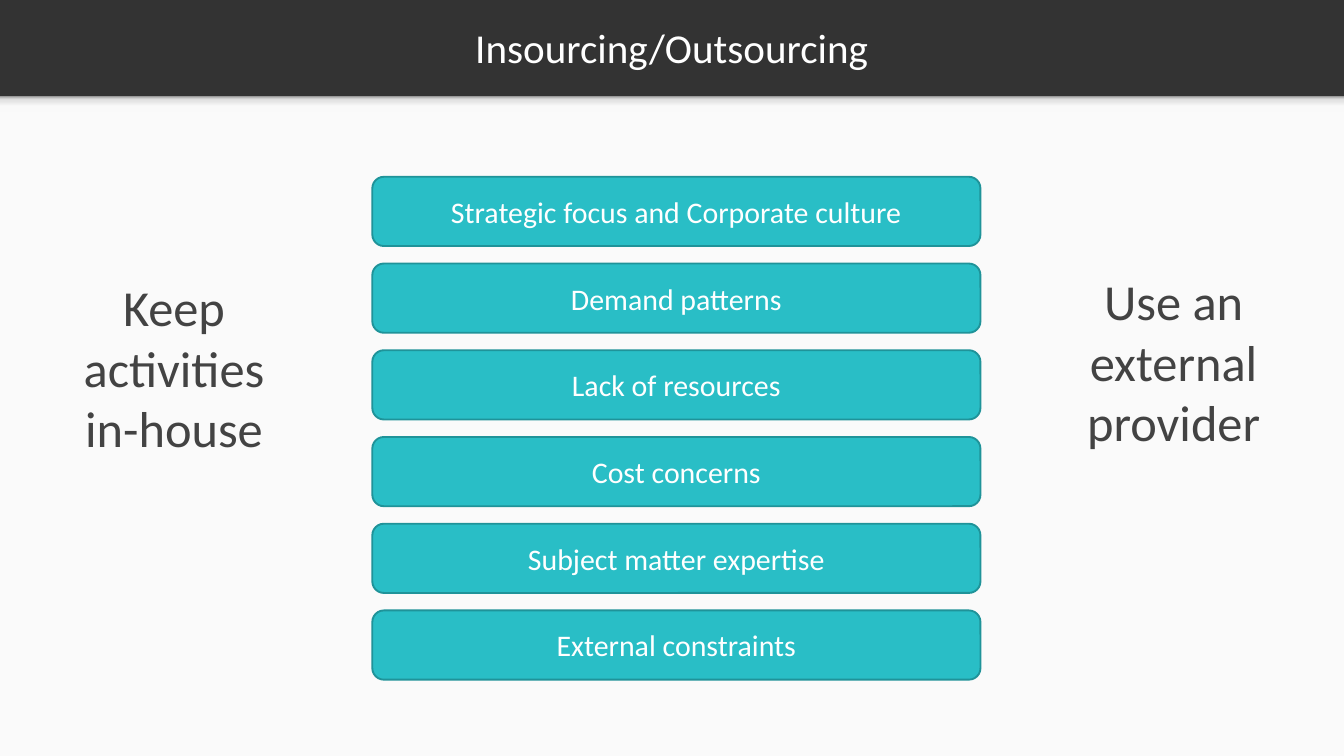
from dataclasses import dataclass

from lxml import etree
from pptx import Presentation
from pptx.dml.color import RGBColor
from pptx.enum.shapes import MSO_SHAPE
from pptx.enum.text import MSO_ANCHOR, MSO_AUTO_SIZE, PP_ALIGN
from pptx.oxml.ns import qn
from pptx.util import Inches, Pt

RECT, ROUND = MSO_SHAPE.RECTANGLE, MSO_SHAPE.ROUNDED_RECTANGLE
TOP, MIDDLE = MSO_ANCHOR.TOP, MSO_ANCHOR.MIDDLE
CENTER = PP_ALIGN.CENTER
NO_FIT = MSO_AUTO_SIZE.NONE
TITLE_ONLY = 5


@dataclass(frozen=True)
class Theme:
    font: str = "Calibri"
    dark: str = "333333"
    pale: str = "FAFAFA"
    teal: str = "29BEC6"
    edge: str = "1F9399"
    white: str = "FFFFFF"
    ink: str = "434343"
    shade: tuple = ((0, "F9F9F9"), (36, "F9F9F9"), (80, "DEDEDE"), (100, "999999"))
    title: int = 44
    factor: int = 32
    choice: int = 54


def put_text(frame, text, *, size, color, font, anchor=TOP, inset=None):
    frame.word_wrap = True
    frame.auto_size = NO_FIT
    frame.vertical_anchor = anchor
    if inset is not None:
        frame.margin_left = frame.margin_right = Inches(inset)
        frame.margin_top = frame.margin_bottom = Inches(inset)
    para = frame.paragraphs[0]
    para.alignment = CENTER
    run = para.add_run()
    run.text = text
    run.font.name = font
    run.font.size = Pt(size)
    run.font.bold = False
    run.font.color.rgb = RGBColor.from_string(color)


class Deck:
    def __init__(self, slide, theme):
        self.slide = slide
        self.theme = theme

    def back(self, color):
        fill = self.slide.background.fill
        fill.solid()
        fill.fore_color.rgb = RGBColor.from_string(color)

    def shape(self, kind, box, color=None, edge=None):
        item = self.slide.shapes.add_shape(kind, *map(Inches, box))
        item.shadow.inherit = False
        if color:
            item.fill.solid()
            item.fill.fore_color.rgb = RGBColor.from_string(color)
        if edge:
            item.line.color.rgb = RGBColor.from_string(edge)
            item.line.width = Pt(2)
        else:
            item.line.fill.background()
        return item

    def fade(self, box, stops):
        """Draw a bar whose last colour stop lies at the top."""
        item = self.shape(RECT, box)
        item.fill.gradient()
        item.fill.gradient_angle = 90
        group = item.fill._fill._gradFill.find(qn("a:gsLst"))
        for old in list(group):
            group.remove(old)
        for place, color in stops:
            stop = etree.SubElement(group, qn("a:gs"), pos=str(place * 1000))
            etree.SubElement(stop, qn("a:srgbClr"), val=color)

    def title(self, text, box):
        item = self.slide.shapes.title
        item.left, item.top, item.width, item.height = map(Inches, box)
        put_text(item.text_frame, text, size=self.theme.title, color=self.theme.white,
                 font=self.theme.font, anchor=MIDDLE, inset=0.2)

    def factor(self, text, box):
        item = self.shape(ROUND, box, self.theme.teal, self.theme.edge)
        put_text(item.text_frame, text, size=self.theme.factor, color=self.theme.white,
                 font=self.theme.font, anchor=MIDDLE)

    def choice(self, text, box):
        item = self.slide.shapes.add_textbox(*map(Inches, box))
        put_text(item.text_frame, text, size=self.theme.choice, color=self.theme.ink,
                 font=self.theme.font)


def main():
    show = Presentation()
    show.slide_width, show.slide_height = Inches(20), Pt(809.63)
    theme = Theme()
    deck = Deck(show.slides.add_slide(show.slide_layouts[TITLE_ONLY]), theme)

    deck.back(theme.dark)
    deck.shape(RECT, (0, 1.44, 20, 9.81), theme.pale)
    deck.fade((0, 1.43, 20, 0.24), theme.shade)
    deck.title("Insourcing/Outsourcing", (0.23, 0.04, 19.54, 1.32))

    factors = ("Strategic focus and Corporate culture", "Demand patterns",
               "Lack of resources", "Cost concerns",
               "Subject matter expertise", "External constraints")
    top, pitch = 2.63, 1.29
    for row, text in enumerate(factors):
        deck.factor(text, (5.54, top + row * pitch, 9.05, 1.03))

    deck.choice("Keep activities in-house", (1.09, 4.06, 3, 2.83))
    deck.choice("Use an external provider", (15.22, 3.97, 4.49, 2.83))

    show.save("out.pptx")


if __name__ == "__main__":
    main()
